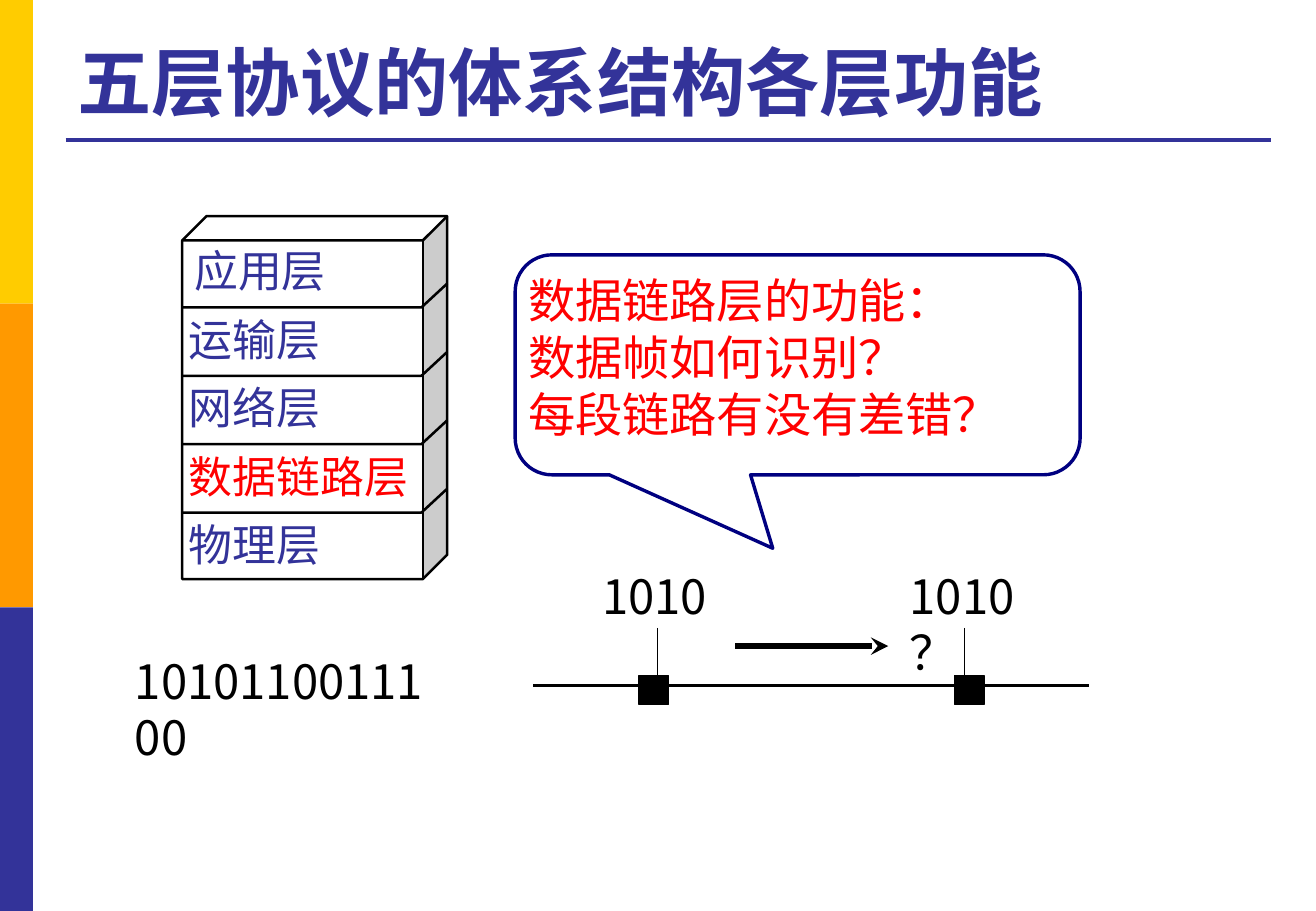
from pptx import Presentation
from pptx.dml.color import RGBColor
from pptx.enum.shapes import MSO_CONNECTOR as LINK, MSO_SHAPE as KIND
from pptx.enum.text import MSO_ANCHOR as ANCHOR, PP_ALIGN as ALIGN
from pptx.oxml.ns import qn
from pptx.util import Cm, Pt
from lxml.etree import SubElement

BLUE, RED, BLACK, WHITE = "333399", "FF0000", "000000", "FFFFFF"
SANS, SERIF = "Noto Sans CJK SC", "Times New Roman"
TITLE = "五层协议的体系结构各层功能"
BARS = ["FFCC00", "FF9900", BLUE]
LAYERS = [("应用层", 3.81, BLUE), ("运输层", 3.7, BLUE), ("网络层", 3.7, BLUE),
          ("数据链路层", 3.7, RED), ("物理层", 3.7, BLUE)]
ASKS = ["数据链路层的功能：", "数据帧如何识别？", "每段链路有没有差错？"]
BITS = [("1010", 12.34, 11.73, 2.79), ("1010？", 18.77, 11.73, 3.61),
        ("1010110011100", 2.57, 13.51, 7.01)]
NODES = [13.36, 19.96]
WIRES = [(11.15, 14.33, 13.56, 14.33), (13.77, 14.33, 20.17, 14.33),
         (20.37, 14.33, 22.76, 14.33)]
STEMS = [13.74, 20.17]


def color(code):
    """Turn a hex string into a colour."""
    return RGBColor.from_string(code)


def paint(shape, fill, line=None, width=1):
    """Set fill and outline, without shadow."""
    shape.shadow.inherit = False
    if fill:
        shape.fill.solid()
        shape.fill.fore_color.rgb = color(fill)
    else:
        shape.fill.background()
    if line:
        shape.line.color.rgb = color(line)
        shape.line.width = Pt(width)
    else:
        shape.line.fill.background()


def block(kind, box, *look):
    """Add a painted preset shape."""
    shape = slide.shapes.add_shape(kind, *map(Cm, box))
    paint(shape, *look)
    return shape


def write(frame, lines, font, size, code, bold=False):
    """Fill a text frame, one paragraph per line."""
    for i, text in enumerate(lines):
        para = frame.add_paragraph() if i else frame.paragraphs[0]
        para.alignment = ALIGN.LEFT
        run = para.add_run()
        run.text = text
        run.font.name, run.font.size, run.font.bold = font, Pt(size), bold
        run.font.color.rgb = color(code)


def label(text, box, font, size, code, wrap=True, bold=False):
    """Add a text box and return its frame."""
    frame = slide.shapes.add_textbox(*map(Cm, box)).text_frame
    frame.word_wrap = wrap
    write(frame, [text], font, size, code, bold)
    return frame


def link(ends, code, width):
    """Add a straight line and return it."""
    line = slide.shapes.add_connector(LINK.STRAIGHT, *map(Cm, ends))
    line.line.color.rgb = color(code)
    line.line.width = Pt(width)
    SubElement(line._element.spPr, qn("a:effectLst"))
    return line


deck = Presentation()
deck.slide_width, deck.slide_height = Cm(27.51), Cm(19.05)
slide = deck.slides.add_slide(deck.slide_layouts[6])

for i, code in enumerate(BARS):
    block(KIND.RECTANGLE, (0, 6.35 * i, 0.69, 6.35), code)
link((1.37, 2.92, 26.57, 2.92), BLUE, 2.25)
head = label(TITLE, (1.37, 0.53, 25.17, 2.21), "Arial", 44, BLUE, bold=True)
head.vertical_anchor = ANCHOR.BOTTOM

left, step = 3.81, 1.43
cube = block(KIND.CUBE, (left, 4.52, 5.54, 7.59), WHITE, BLACK, 1.5)
cube.adjustments[0] = 0.092
for i in range(len(LAYERS) - 1):
    y = 6.43 + step * i
    edge = slide.shapes.build_freeform(Cm(left), Cm(y))
    edge.add_line_segments([(Cm(8.81), Cm(y)), (Cm(9.35), Cm(y - 0.5))], close=False)
    paint(edge.convert_to_shape(), None, BLACK, 1.5)
for i, (text, x, code) in enumerate(LAYERS):
    label(text, (x, 4.98 + step * i, 5.1, 1.37), SERIF, 26, code, wrap=False)

call = block(KIND.ROUNDED_RECTANGULAR_CALLOUT, (10.77, 5.33, 11.81, 4.6),
             WHITE, "000080", 2)
for i, part in enumerate((-0.044, 0.834, 0.167)):
    call.adjustments[i] = part
frame = call.text_frame
frame.word_wrap = True
frame.vertical_anchor = ANCHOR.TOP
frame.margin_left = frame.margin_right = Cm(0.05)
write(frame, ASKS, SANS, 28, RED)

for x in NODES:
    block(KIND.RECTANGLE, (x, 14.12, 0.61, 0.61), BLACK, BLACK, 0.75)
for ends in WIRES:
    link(ends, BLACK, 1.75)
for x in STEMS:
    link((x, 13.13, x, 14.33), BLACK, 0.75)
for text, x, y, width in BITS:
    label(text, (x, y, width, 1.45), SANS, 28, BLACK)
arrow = link((15.37, 13.51, 18.57, 13.51), BLACK, 3.5)
SubElement(arrow.line._get_or_add_ln(), qn("a:tailEnd"), type="stealth")

deck.save("out.pptx")
